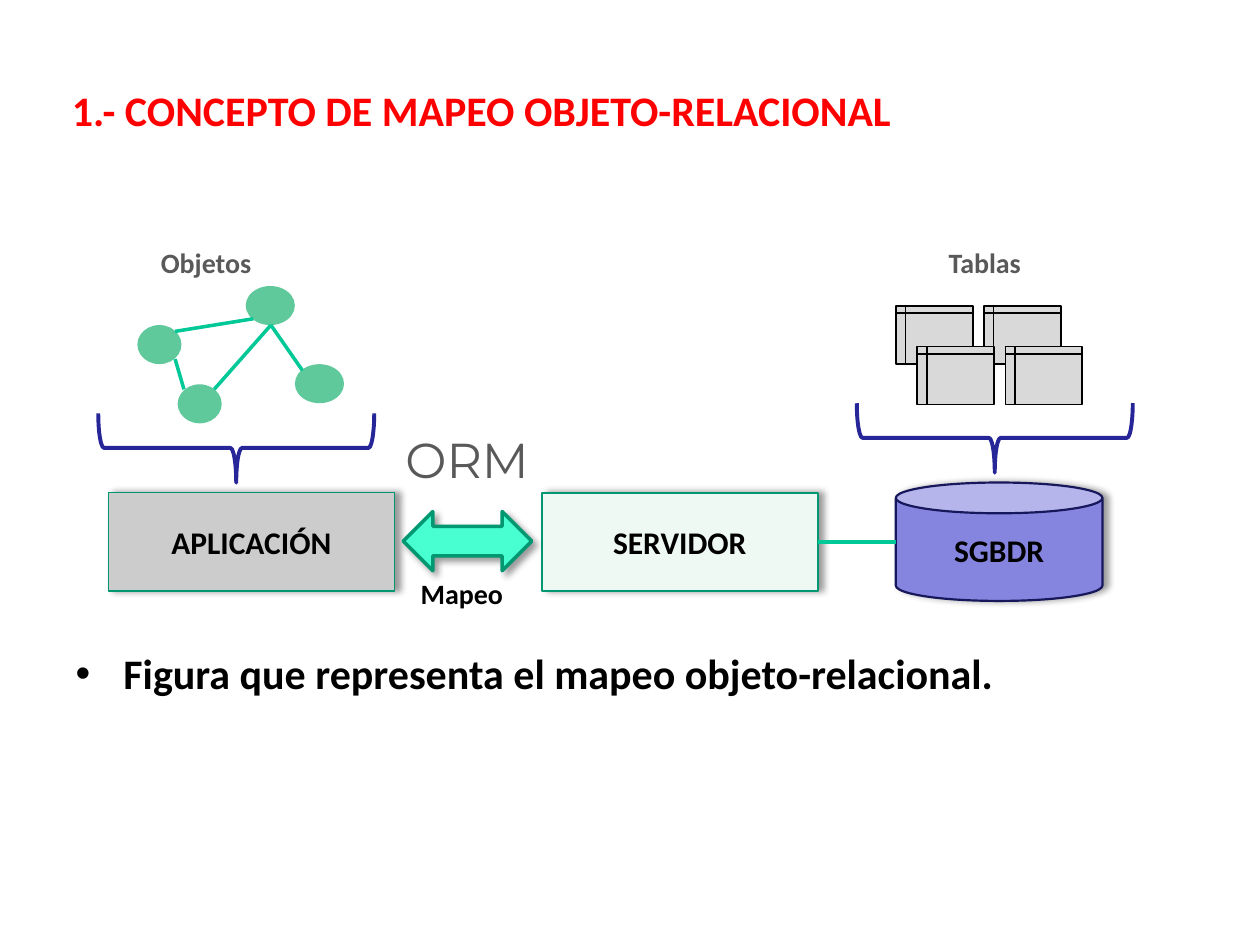
from dataclasses import dataclass
from typing import Optional

from lxml import etree
from pptx import Presentation
from pptx.dml.color import RGBColor
from pptx.enum.shapes import MSO_CONNECTOR, MSO_SHAPE
from pptx.enum.text import MSO_ANCHOR, MSO_AUTO_SIZE, PP_ALIGN
from pptx.oxml.ns import qn
from pptx.util import Emu, Pt

RECTANGLE, CAN, OVAL = MSO_SHAPE.RECTANGLE, MSO_SHAPE.CAN, MSO_SHAPE.OVAL
DOUBLE_ARROW, BRACE = MSO_SHAPE.LEFT_RIGHT_ARROW, MSO_SHAPE.LEFT_BRACE
TABLE_ICON = MSO_SHAPE.FLOWCHART_INTERNAL_STORAGE
STRAIGHT = MSO_CONNECTOR.STRAIGHT
LEFT, CENTER = PP_ALIGN.LEFT, PP_ALIGN.CENTER
TOP, MIDDLE = MSO_ANCHOR.TOP, MSO_ANCHOR.MIDDLE
NO_FIT = MSO_AUTO_SIZE.NONE

EMU_PER_PX = 9144  # 100 px to the inch
BLACK, GRAY, RED = "000000", "595959", "FF0000"
GREEN, MINT, DARK_GREEN = "60C99C", "00C896", "009771"
RIGHT_SIDE = 3


@dataclass
class Area:
    left: int
    top: int
    width: int
    height: int

    def emu(self) -> list:
        return [px(v) for v in (self.left, self.top, self.width, self.height)]


@dataclass
class Style:
    size: int
    color: str = BLACK
    bold: bool = True
    font: str = "Calibri"
    align: PP_ALIGN = CENTER


@dataclass
class Look:
    fill: Optional[str] = None
    line: Optional[str] = None
    weight: float = 1
    shadow_angle: Optional[int] = None


def px(value: int) -> Emu:
    return Emu(value * EMU_PER_PX)


def rgb(value: str) -> RGBColor:
    return RGBColor.from_string(value)


def write(frame, text: str, style: Style, anchor=TOP, wrap: bool = True):
    """Fill a text frame with one formatted paragraph."""
    frame.text = text
    frame.word_wrap = wrap
    frame.vertical_anchor = anchor
    para = frame.paragraphs[0]
    para.alignment = style.align
    font = para.runs[0].font
    font.name, font.size, font.bold = style.font, Pt(style.size), style.bold
    font.color.rgb = rgb(style.color)
    return para


def add_shadow(shape, angle: int) -> None:
    effects = shape._element.spPr.find(qn("a:effectLst"))
    shadow = etree.SubElement(effects, qn("a:outerShdw"), blurRad=str(Pt(4)),
                              dist=str(Pt(3)), dir=str(angle * 60000),
                              algn="tl", rotWithShape="0")
    color = etree.SubElement(shadow, qn("a:srgbClr"), val=BLACK)
    etree.SubElement(color, qn("a:alpha"), val="40000")


def draw_shape(page, kind, area: Area, look: Look, text: str = ""):
    shape = page.shapes.add_shape(kind, *area.emu())
    shape.shadow.inherit = False
    if look.fill:
        shape.fill.solid()
        shape.fill.fore_color.rgb = rgb(look.fill)
    else:
        shape.fill.background()
    if look.line:
        shape.line.color.rgb = rgb(look.line)
        shape.line.width = Pt(look.weight)
    else:
        shape.line.fill.background()
    if look.shadow_angle is not None:
        add_shadow(shape, look.shadow_angle)
    if text:
        write(shape.text_frame, text, Style(18), MIDDLE)
    return shape


def draw_line(page, start: tuple, end: tuple, weight: float = 2):
    line = page.shapes.add_connector(STRAIGHT, *map(px, start + end))
    line.line.color.rgb = rgb(MINT)
    line.line.width = Pt(weight)
    etree.SubElement(line._element.spPr, qn("a:effectLst"))
    return line


def draw_label(page, area: Area, text: str, style: Style, wrap: bool = True) -> None:
    box = page.shapes.add_textbox(*area.emu())
    write(box.text_frame, text, style, wrap=wrap)


def fill_placeholder(holder, area: Area, text: str, style: Style):
    holder.left, holder.top, holder.width, holder.height = area.emu()
    para = write(holder.text_frame, text, style)
    holder.text_frame.auto_size = NO_FIT
    para.line_spacing = 1.02
    para.space_before = Pt(0)
    return para


def add_bullet(para) -> None:
    props = para._p.get_or_add_pPr()
    props.set("marL", str(px(38)))
    props.set("indent", str(-px(38)))
    color = etree.SubElement(props, qn("a:buClr"))
    etree.SubElement(color, qn("a:srgbClr"), val=BLACK)
    etree.SubElement(props, qn("a:buFont"), typeface="Arial")
    etree.SubElement(props, qn("a:buChar"), char="•")


def main() -> None:
    deck = Presentation()
    deck.slide_width, deck.slide_height = px(1000), px(750)
    page = deck.slides.add_slide(deck.slide_layouts[1])

    # Title and caption
    fill_placeholder(page.shapes.title, Area(47, 61, 900, 50),
                     "1.- CONCEPTO DE MAPEO OBJETO-RELACIONAL",
                     Style(24, RED, align=LEFT))
    caption = fill_placeholder(page.placeholders[1], Area(50, 508, 900, 162),
                               "Figura que representa el mapeo objeto-relacional.",
                               Style(24, align=LEFT))
    caption.space_after = Pt(14.2)
    add_bullet(caption)

    # Application, server and database
    draw_shape(page, RECTANGLE, Area(86, 391, 227, 78),
               Look("CCCCCC", DARK_GREEN, 0.75, 0), "APLICACIÓN")
    server = draw_shape(page, RECTANGLE, Area(430, 391, 219, 78),
                        Look("EEF9F4", DARK_GREEN, 1, 0), "SERVIDOR")
    database = draw_shape(page, CAN, Area(711, 383, 164, 94),
                          Look("8585E0", "17175C", 1.25, 0), "SGBDR")
    database.adjustments[0] = 0.26
    draw_shape(page, DOUBLE_ARROW, Area(320, 406, 102, 47),
               Look("47FFD1", DARK_GREEN, 2, 45))
    link = draw_line(page, (649, 430), (711, 430), 2.25)
    link.begin_connect(server, RIGHT_SIDE)

    # Object graph
    for left, top, width in ((195, 227, 39), (109, 258, 35),
                             (234, 289, 39), (141, 305, 35)):
        draw_shape(page, OVAL, Area(left, top, width, 31), Look(GREEN))
    for start, end in (((201, 253), (139, 263)), ((215, 258), (240, 294)),
                       ((139, 285), (146, 309)), ((215, 258), (170, 309))):
        draw_line(page, start, end)

    # Two staggered rows of tables
    for row in range(2):
        for column in range(2):
            area = Area(711 + 70 * column + 17 * row, 243 + 32 * row, 61, 46)
            draw_shape(page, TABLE_ICON, area, Look("D9D9D9", BLACK))

    # Braces opening upwards
    for left, top in ((160, 246), (762, 238)):
        brace = draw_shape(page, BRACE, Area(left, top, 55, 219),
                           Look(line="262699", weight=2.25))
        brace.rotation = 270

    # Labels
    for left, top, text, color in ((109, 190, "Objetos", GRAY),
                                   (727, 190, "Tablas", GRAY),
                                   (312, 453, "Mapeo", BLACK)):
        draw_label(page, Area(left, top, 109, 37), text, Style(16, color))
    draw_label(page, Area(312, 336, 120, 57), "ORM",
               Style(28, GRAY, False, "Montserrat", LEFT), wrap=False)

    deck.save("out.pptx")


if __name__ == "__main__":
    main()
